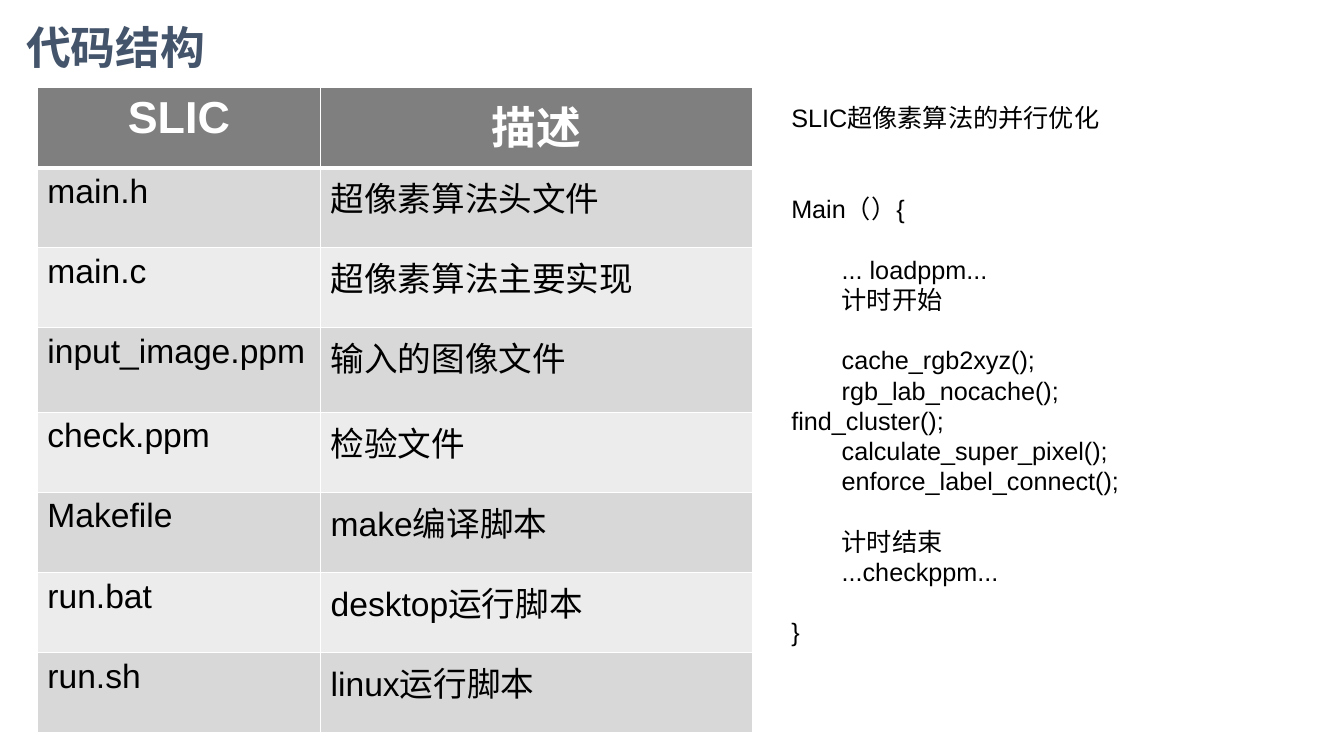
"""Build the code structure slide: a file table beside a program outline."""
from lxml import etree
from pptx import Presentation
from pptx import util as u
from pptx.dml.color import RGBColor
from pptx.enum import text
from pptx.oxml.ns import qn

TITLE = "代码结构"
FILES = [
    ("SLIC", "描述"),
    ("main.h", "超像素算法头文件"),
    ("main.c", "超像素算法主要实现"),
    ("input_image.ppm", "输入的图像文件"),
    ("check.ppm", "检验文件"),
    ("Makefile", "make编译脚本"),
    ("run.bat", "desktop运行脚本"),
    ("run.sh", "linux运行脚本"),
]
OUTLINE = [
    (0, "SLIC超像素算法的并行优化"),
    (2, "Main（）{"),
    (1, "\t... loadppm..."),
    (0, "\t计时开始"),
    (1, "\tcache_rgb2xyz();"),
    (0, "\trgb_lab_nocache();"),
    (0, "find_cluster();"),
    (0, "\tcalculate_super_pixel();"),
    (0, "\tenforce_label_connect();"),
    (1, "\t计时结束"),
    (0, "\t...checkppm..."),
    (1, "}"),
]
THEME = {
    "title_font": "Montserrat", "font": "Arial",
    "title": "44546A", "ink": "000000", "white": "FFFFFF",
    "header": "7F7F7F", "bands": ("ECECEC", "D8D8D8"),
    "big": 32, "cell": 24, "code": 18, "line": 21.6,
}
COLUMNS = (2.81, 4.28)
ROW, TALL_ROW, TALL_INDEX = 5.56 / 7, 0.84, 3


def style(p, size, color, bold=False, font=THEME["font"]):
    f = p.font
    f.name, f.size, f.bold = font, u.Pt(size), bold
    f.color.rgb = RGBColor.from_string(color)


def add_text(s, *box):
    tf = s.shapes.add_textbox(*map(u.Inches, box)).text_frame
    tf.word_wrap = True
    return tf


def add_borders(cell, top, bottom):
    tc_pr = cell._tc.get_or_add_tcPr()
    sides = (("lnL", 1), ("lnR", 1), ("lnT", top), ("lnB", bottom))
    for i, (tag, width) in enumerate(sides):
        ln = etree.Element(qn("a:" + tag), w=str(u.Pt(width)))
        fill = etree.SubElement(ln, qn("a:solidFill"))
        etree.SubElement(fill, qn("a:srgbClr"), val=THEME["white"])
        tc_pr.insert(i, ln)


def add_files(s):
    height = ROW * (len(FILES) - 1) + TALL_ROW
    box = map(u.Inches, (0.37, 0.87, sum(COLUMNS), height))
    table = s.shapes.add_table(len(FILES), len(COLUMNS), *box).table
    table.horz_banding = False
    for col, width in zip(table.columns, COLUMNS):
        col.width = u.Inches(width)
    for i, names in enumerate(FILES):
        table.rows[i].height = u.Inches(TALL_ROW if i == TALL_INDEX else ROW)
        header = i == 0
        fill = THEME["header"] if header else THEME["bands"][i % 2]
        for j, name in enumerate(names):
            cell = table.cell(i, j)
            cell.text = name
            cell.fill.solid()
            cell.fill.fore_color.rgb = RGBColor.from_string(fill)
            add_borders(cell, 3 if i == 1 else 1, 3 if header else 1)
            p = cell.text_frame.paragraphs[0]
            if header:
                p.alignment = text.PP_ALIGN.CENTER
                style(p, THEME["big"], THEME["white"], True)
            else:
                style(p, THEME["cell"], THEME["ink"])


def add_outline(s):
    tf = add_text(s, 7.75, 0.97, 5.23, 5.86)
    for i, (gap, line) in enumerate(OUTLINE):
        p = tf.add_paragraph() if i else tf.paragraphs[0]
        p.text = line
        if gap:
            p.space_before = u.Pt(gap * THEME["line"])
        style(p, THEME["code"], THEME["ink"])


def main():
    prs = Presentation()
    prs.slide_width, prs.slide_height = u.Inches(13.33), u.Inches(7.5)
    s = prs.slides.add_slide(prs.slide_layouts[6])
    tf = add_text(s, 0.16, 0.2, 11.5, 0.6)
    tf.vertical_anchor = text.MSO_ANCHOR.MIDDLE
    p = tf.paragraphs[0]
    p.text, p.line_spacing = TITLE, 0.9
    style(p, THEME["big"], THEME["title"], True, THEME["title_font"])
    add_files(s)
    add_outline(s)
    prs.save("out.pptx")


if __name__ == "__main__":
    main()
